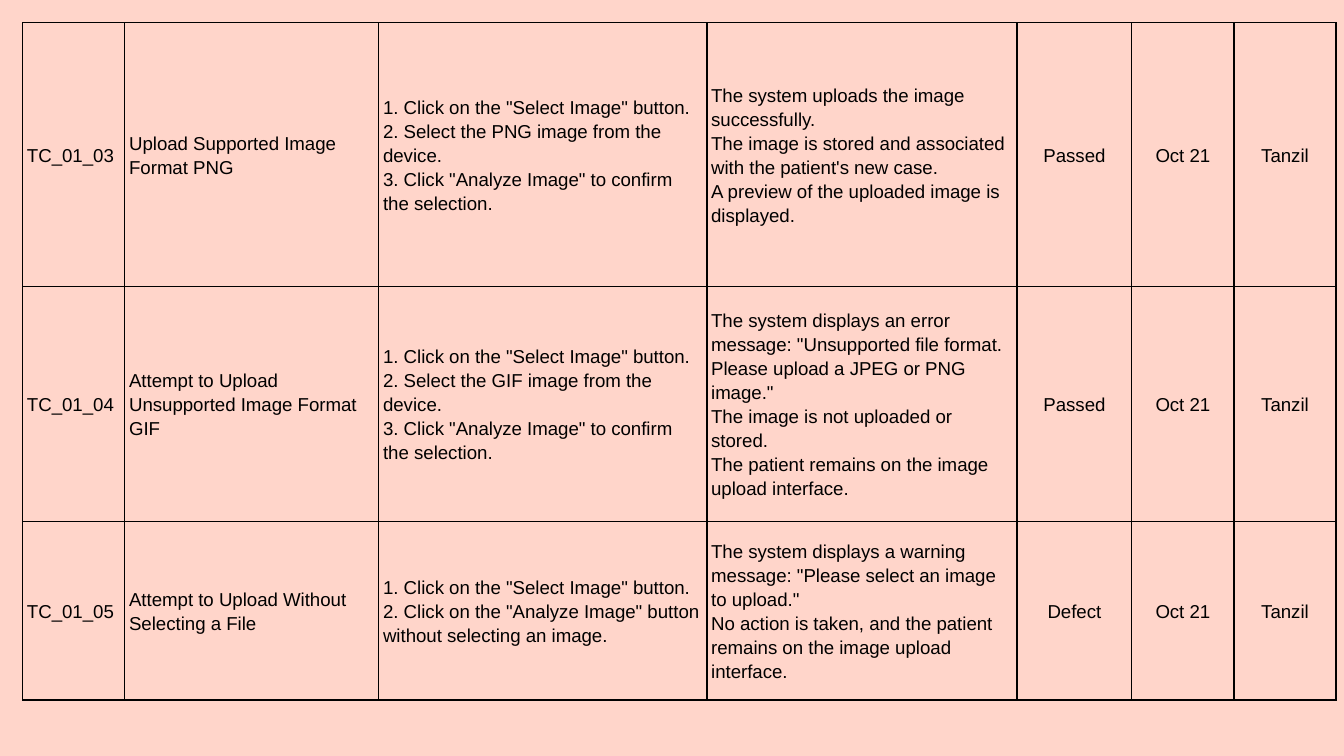
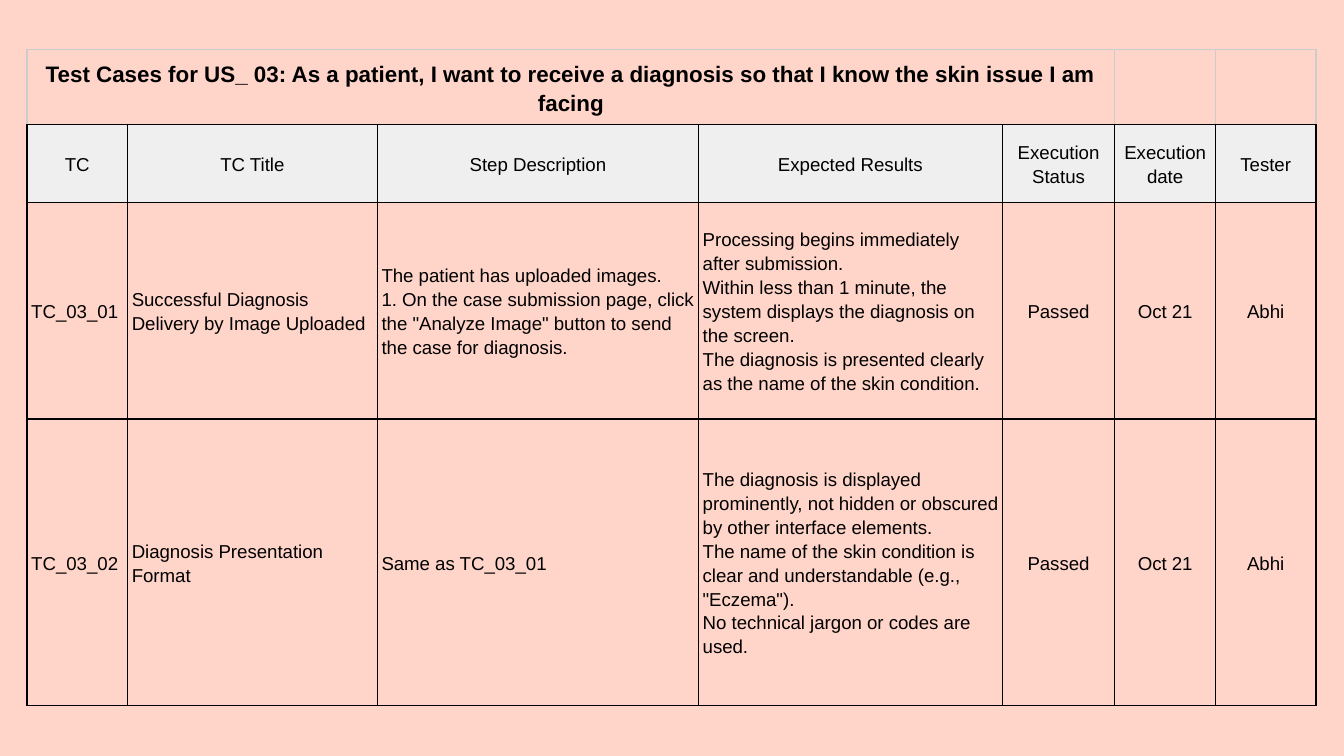
from lxml import etree
from pptx import Presentation
from pptx import util as u
from pptx.dml.color import RGBColor
from pptx.enum import text
from pptx.oxml import ns

COLORS = {"background": "FFD5CA", "ink": "000000", "header": "EFEFEF", "faint": "CCCCCC"}
FONT = "Arial"
BLANK_LAYOUT = 6
CENTERED_FROM = 4  # status, date and tester columns

HEADERS = ["TC", "TC Title", "Step Description", "Expected Results",
           "Execution Status", "Execution date", "Tester"]
SELECT_STEP = '1. Click on the "Select Image" button.'
CONFIRM_STEP = '3. Click "Analyze Image" to confirm the selection.'

UPLOAD_CASES = [
    ["TC_01_03", "Upload Supported Image Format PNG",
     f"{SELECT_STEP}\n2. Select the PNG image from the device.\n{CONFIRM_STEP}",
     "The system uploads the image successfully.\n"
     "The image is stored and associated with the patient's new case.\n"
     "A preview of the uploaded image is displayed.",
     "Passed", "Oct 21", "Tanzil"],
    ["TC_01_04", "Attempt to Upload Unsupported Image Format GIF",
     f"{SELECT_STEP}\n2. Select the GIF image from the device.\n{CONFIRM_STEP}",
     'The system displays an error message: "Unsupported file format. '
     'Please upload a JPEG or PNG image."\n'
     "The image is not uploaded or stored.\n"
     "The patient remains on the image upload interface.",
     "Passed", "Oct 21", "Tanzil"],
    ["TC_01_05", "Attempt to Upload Without Selecting a File",
     f'{SELECT_STEP}\n2. Click on the "Analyze Image" button without selecting an image.',
     'The system displays a warning message: "Please select an image to upload."\n'
     "No action is taken, and the patient remains on the image upload interface.",
     "Defect", "Oct 21", "Tanzil"],
]

DIAGNOSIS_TITLE = ("Test Cases for US_ 03: As a patient, I want to receive a diagnosis "
                   "so that I know the skin issue I am facing")
DIAGNOSIS_CASES = [
    ["TC_03_01", "Successful Diagnosis Delivery by Image Uploaded",
     "The patient has uploaded images.\n"
     '1. On the case submission page, click the "Analyze Image" button '
     "to send the case for diagnosis.",
     "Processing begins immediately after submission.\n"
     "Within less than 1 minute, the system displays the diagnosis on the screen.\n"
     "The diagnosis is presented clearly as the name of the skin condition.",
     "Passed", "Oct 21", "Abhi"],
    ["TC_03_02", "Diagnosis Presentation Format", "Same as TC_03_01",
     "The diagnosis is displayed prominently, not hidden or obscured "
     "by other interface elements.\n"
     "The name of the skin condition is clear and understandable "
     '(e.g., "Eczema").\n'
     "No technical jargon or codes are used.",
     "Passed", "Oct 21", "Abhi"],
]


class TestReport:
    def __init__(self):
        self.presentation = Presentation()
        self.presentation.slide_width = u.Cm(25.4)
        self.presentation.slide_height = u.Cm(14.29)
        self.fill(self.presentation.slide_master.background.fill, "background")
        self.slide = None

    def fill(self, fill, color):
        fill.solid()
        fill.fore_color.rgb = RGBColor.from_string(COLORS[color])

    def add_slide(self):
        layout = self.presentation.slide_layouts[BLANK_LAYOUT]
        self.slide = self.presentation.slides.add_slide(layout)

    def add_table(self, left, top, widths, heights):
        frame = self.slide.shapes.add_table(
            len(heights), len(widths), u.Cm(left), u.Cm(top),
            u.Cm(sum(widths)), u.Cm(sum(heights)))
        table = frame.table
        table.first_row = table.horz_banding = False
        for column, width in zip(table.columns, widths):
            column.width = u.Cm(width)
        for row, height in zip(table.rows, heights):
            row.height = u.Cm(height)
        return table

    def border(self, cell, edge_color):
        """Outline a cell; its bottom edge is always ink."""
        properties = cell._tc.get_or_add_tcPr()
        for side in "LRTB":
            line = etree.SubElement(properties, ns.qn(f"a:ln{side}"), w=str(u.Pt(0.75)))
            solid = etree.SubElement(line, ns.qn("a:solidFill"))
            color = "ink" if side == "B" else edge_color
            etree.SubElement(solid, ns.qn("a:srgbClr"), val=COLORS[color])

    def write_cell(self, cell, content="", centered=False, size=10, bold=False,
                   fill=None, edge_color="ink"):
        cell.margin_left = cell.margin_right = u.Cm(0.08)
        cell.margin_top = cell.margin_bottom = u.Cm(0.05)
        cell.vertical_anchor = text.MSO_ANCHOR.MIDDLE
        self.border(cell, edge_color)
        if fill:
            self.fill(cell.fill, fill)
        else:
            cell.fill.background()
        cell.text_frame.text = content
        for paragraph in cell.text_frame.paragraphs:
            paragraph.alignment = text.PP_ALIGN.CENTER if centered else text.PP_ALIGN.LEFT
            paragraph.line_spacing = 1.15
            font = paragraph.font
            font.name, font.size, font.bold = FONT, u.Pt(size), bold
            font.color.rgb = RGBColor.from_string(COLORS["ink"])

    def write_title(self, table, title, span):
        for index in range(len(table.columns)):
            self.write_cell(table.cell(0, index), title if index == 0 else "",
                            centered=True, size=12, bold=True, edge_color="faint")
        table.cell(0, 0).merge(table.cell(0, span - 1))

    def write_headers(self, table, row):
        for index, header in enumerate(HEADERS):
            self.write_cell(table.cell(row, index), header, centered=True, fill="header")

    def write_cases(self, table, cases, first_row=0):
        for row, case in enumerate(cases, first_row):
            for index, content in enumerate(case):
                self.write_cell(table.cell(row, index), content,
                                centered=index >= CENTERED_FROM)


def main():
    report = TestReport()

    report.add_slide()
    table = report.add_table(0.43, 0.43, [1.93, 4.8, 6.2, 5.86, 2.17, 1.93, 1.93],
                             [4.98, 4.44, 3.38])
    report.write_cases(table, UPLOAD_CASES)

    report.add_slide()
    table = report.add_table(0.51, 0.94, [1.9, 4.72, 6.07, 5.74, 2.13, 1.9, 1.9],
                             [1.42, 1.47, 4.09, 5.41])
    report.write_title(table, DIAGNOSIS_TITLE, span=5)
    report.write_headers(table, row=1)
    report.write_cases(table, DIAGNOSIS_CASES, first_row=2)

    report.presentation.save("out.pptx")


if __name__ == "__main__":
    main()
